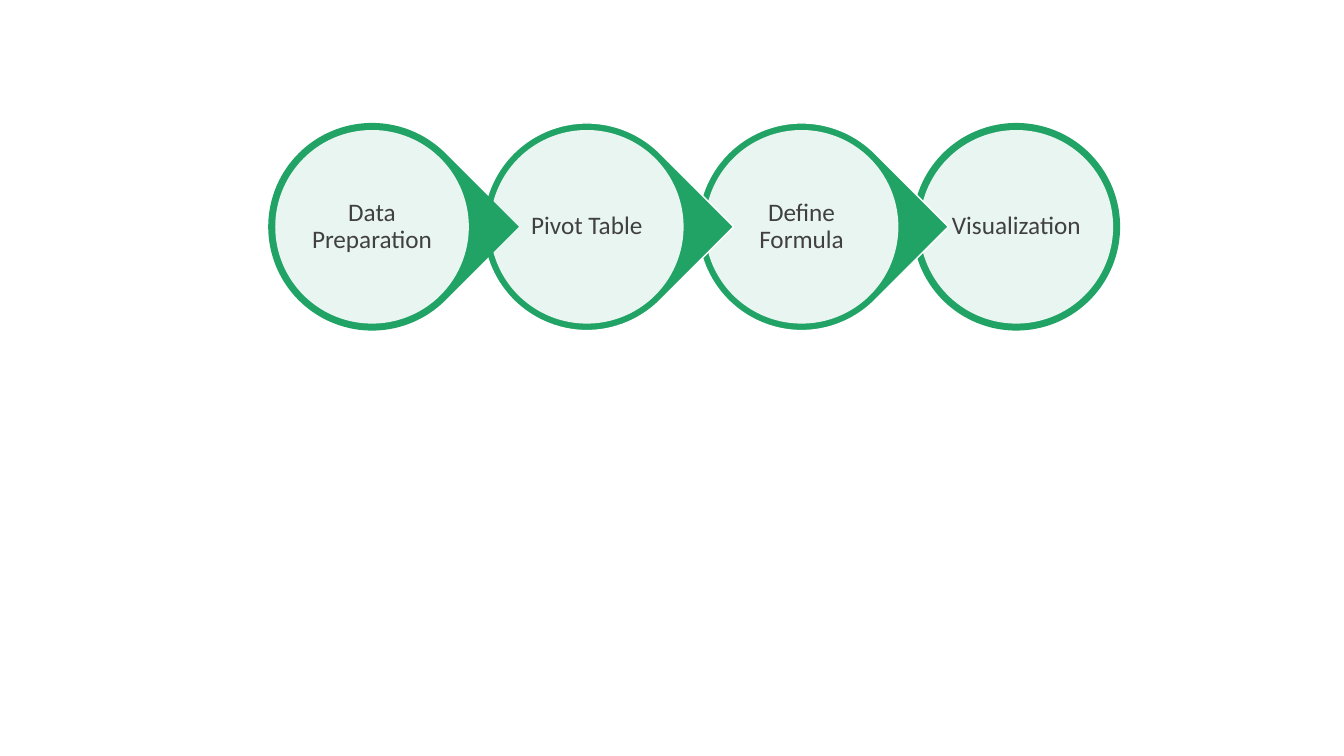
from dataclasses import dataclass

from lxml import etree
from pptx import Presentation
from pptx.dml.color import RGBColor
from pptx.enum.shapes import MSO_SHAPE
from pptx.enum.text import MSO_ANCHOR, PP_ALIGN
from pptx.oxml.ns import qn
from pptx.shapes.autoshape import Shape
from pptx.shapes.group import GroupShape
from pptx.util import Inches, Pt

OVAL, DROP = MSO_SHAPE.OVAL, MSO_SHAPE.TEAR
MIDDLE, CENTER = MSO_ANCHOR.MIDDLE, PP_ALIGN.CENTER

COLORS = {"green": "21A366", "white": "FFFFFF", "text": "404040"}
FONT = "Calibri"

# Grid: one column per step, all centred on one row
WIDTH, HEIGHT = 13.33, 7.5
FIRST = 3.69
PITCH = 2.13
ROW = 0.3 * HEIGHT
RING, DISC, LABEL = 2.06, 1.92, 1.37
INSET = Inches(0.03)


@dataclass
class Step:
    name: str
    arrow: bool = True
    edge: bool = False


STEPS = [
    Step("Data Preparation"),
    Step("Pivot Table", edge=True),
    Step("Define Formula", edge=True),
    Step("Visualization", arrow=False),
]


def color(name: str) -> RGBColor:
    return RGBColor.from_string(COLORS[name])


def square(mid: float, size: float) -> tuple[int, int, int, int]:
    """Left, top, width and height of a square centred on the row."""
    return (Inches(mid - size / 2), Inches(ROW - size / 2),
            Inches(size), Inches(size))


def add_form(group: GroupShape, kind: MSO_SHAPE, mid: float, size: float,
             fill: str) -> Shape:
    form = group.shapes.add_shape(kind, *square(mid, size))
    form.shadow.inherit = False
    form.fill.solid()
    form.fill.fore_color.rgb = color(fill)
    form.line.fill.background()
    return form


def add_label(group: GroupShape, mid: float, text: str) -> None:
    frame = group.shapes.add_textbox(*square(mid, LABEL)).text_frame
    frame.word_wrap = True
    frame.vertical_anchor = MIDDLE
    frame.margin_left = frame.margin_right = INSET
    frame.margin_top = frame.margin_bottom = INSET
    frame.text = text
    para = frame.paragraphs[0]
    para.alignment = CENTER
    para.line_spacing = 0.9
    font = para.runs[0].font
    font.name, font.size = FONT, Pt(18)
    font.color.rgb = color("text")


def add_step(group: GroupShape, step: Step, mid: float) -> None:
    # Ring, with its point turned to the right
    ring = add_form(group, DROP if step.arrow else OVAL, mid, RING, "green")
    if step.arrow:
        ring.rotation = 45
    if step.edge:
        ring.line.color.rgb = color("white")
        ring.line.width = Pt(1)

    # Disc, slightly see-through
    disc = add_form(group, OVAL, mid, DISC, "white")
    tint = disc.fill._xPr.find(qn("a:solidFill"))[0]
    etree.SubElement(tint, qn("a:alpha"), val="90000")

    add_label(group, mid, step.name)


def main() -> None:
    deck = Presentation()
    deck.slide_width, deck.slide_height = Inches(WIDTH), Inches(HEIGHT)
    slide = deck.slides.add_slide(deck.slide_layouts[6])

    # Last step first, so that each point lies over the next ring
    group = slide.shapes.add_group_shape()
    for col, step in reversed(list(enumerate(STEPS))):
        add_step(group, step, FIRST + col * PITCH)

    deck.save("out.pptx")


if __name__ == "__main__":
    main()
